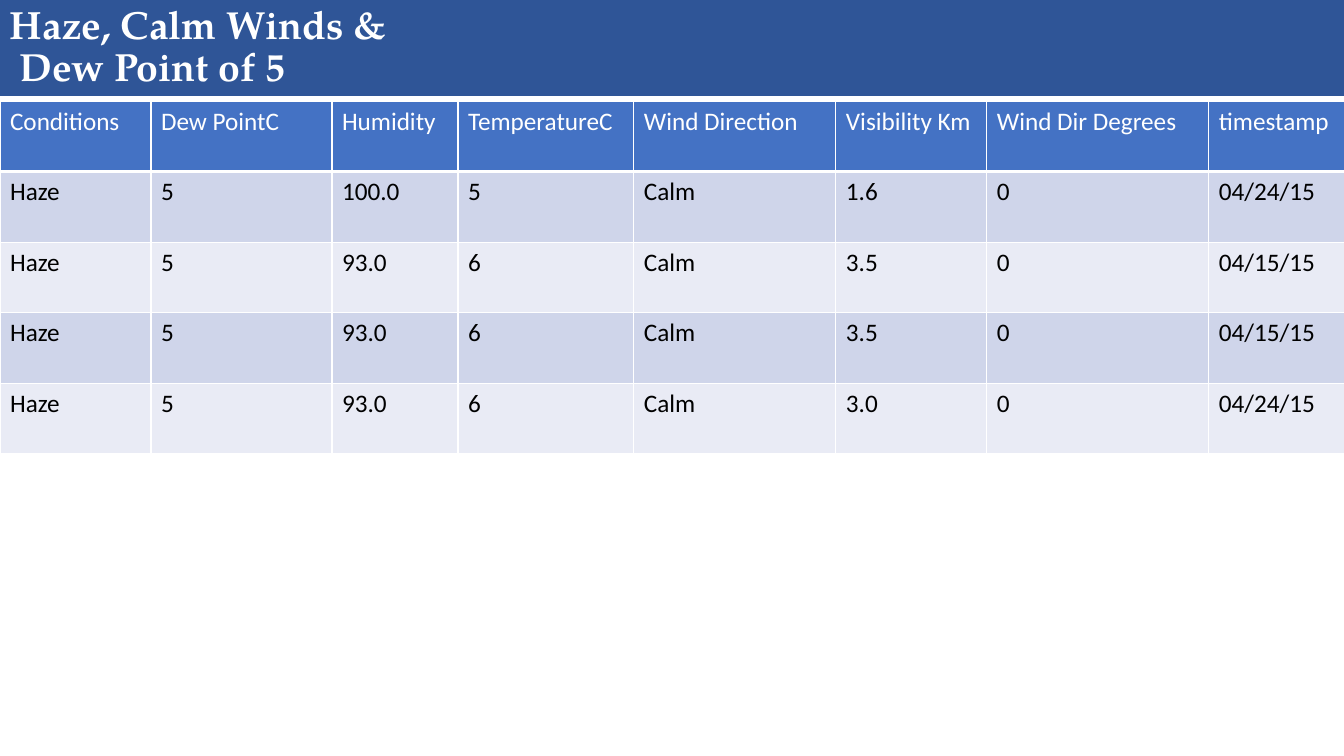
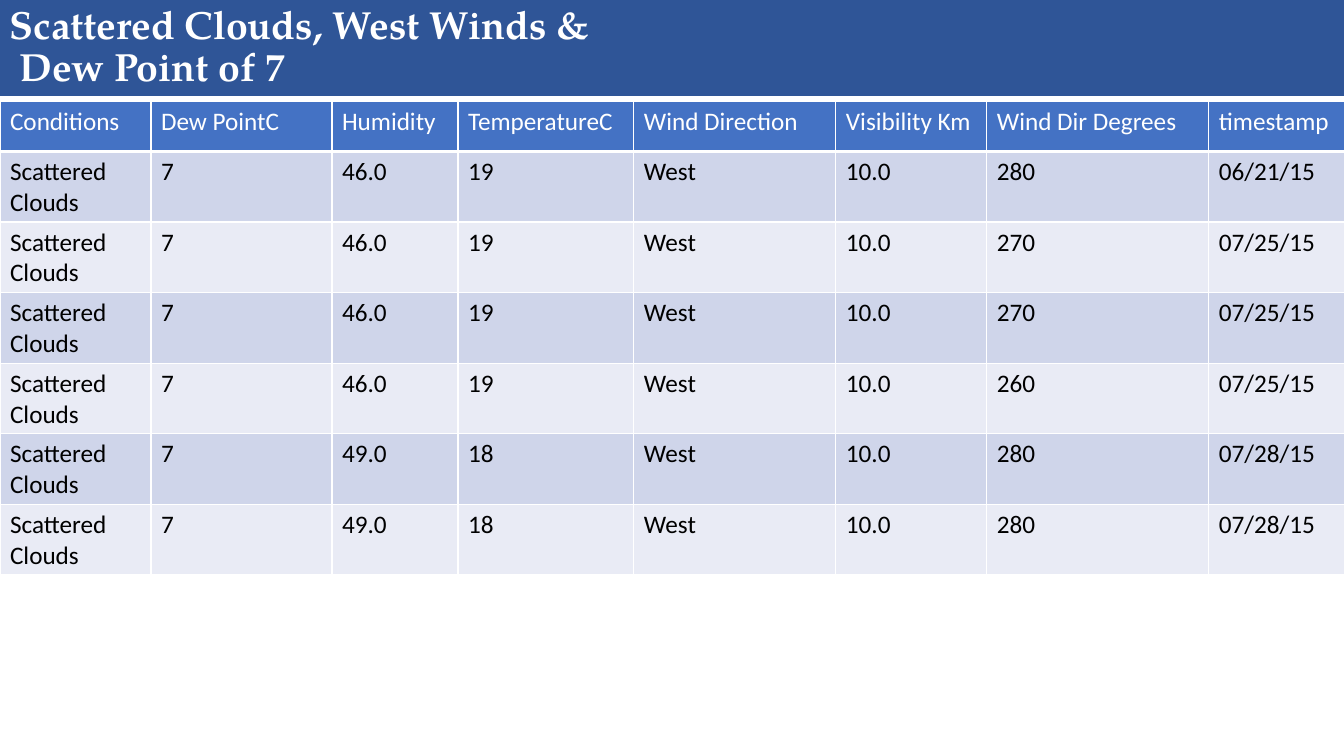
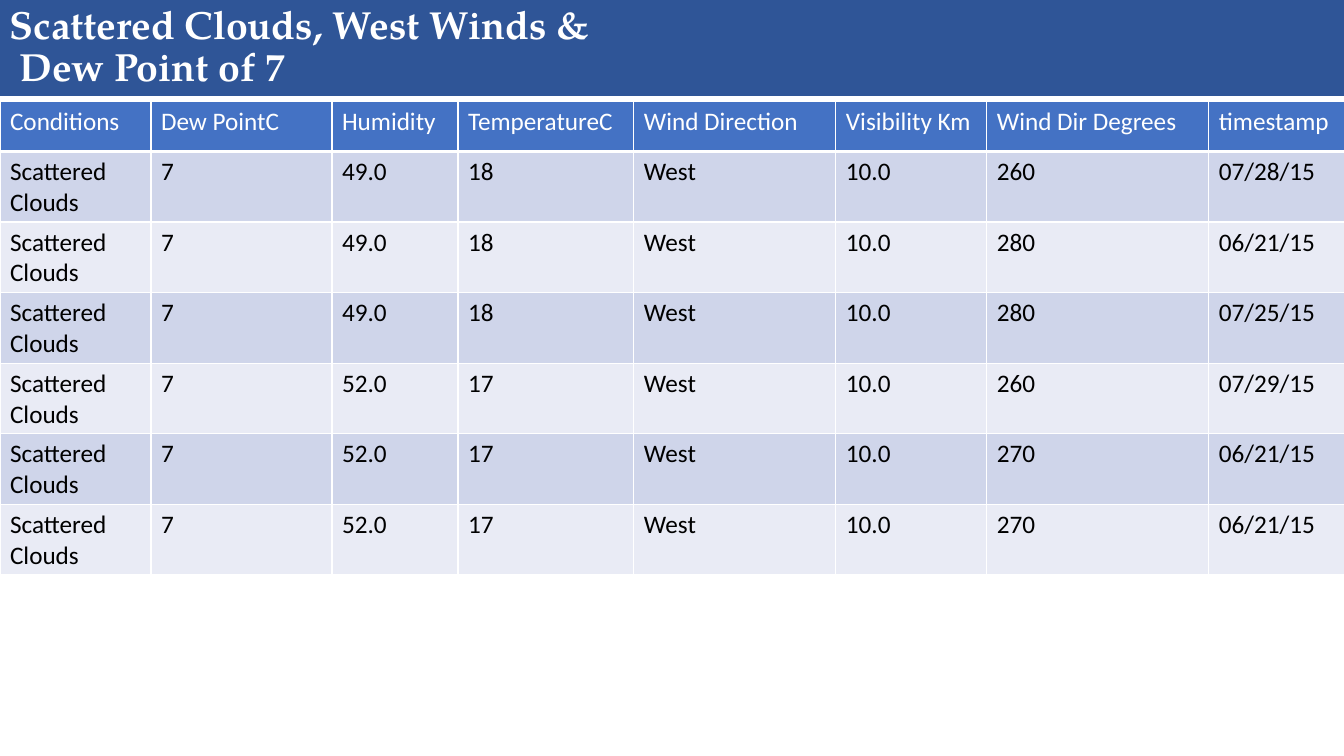
from dataclasses import dataclass

from lxml.etree import SubElement
from pptx import Presentation
from pptx.dml.color import RGBColor
from pptx.enum.shapes import MSO_SHAPE
from pptx.enum.text import MSO_ANCHOR
from pptx.oxml.ns import qn
from pptx.util import Emu, Pt


@dataclass(frozen=True)
class Theme:
    band: str = "2F5597"
    header: str = "4472C4"
    stripes: tuple = ("CFD5EA", "E9EBF5")
    light: str = "FFFFFF"
    dark: str = "000000"
    title_font: str = "TeX Gyre Pagella"
    body_font: str = "Calibri"
    title_size: int = 28
    body_size: int = 18
    border: int = 1
    header_border: int = 3


theme = Theme()
SCALE = 914400 / 100.8
WIDTH, HEIGHT = 1344, 756
BAND_HEIGHT = 96
TITLE_TOP, TITLE_HEIGHT = -2, 99
TABLE_TOP, TABLE_HEIGHT = 101, 353

columns = {
    "Conditions": 151,
    "Dew PointC": 181,
    "Humidity": 126,
    "TemperatureC": 176,
    "Wind Direction": 202,
    "Visibility Km": 151,
    "Wind Dir Degrees": 222,
    "timestamp": 136,
}

haze = ("Haze, Calm Winds & ", " Dew Point of 5")
clouds = ("Scattered Clouds, West Winds & ", " Dew Point of 7")

pages = [
    (haze, ("Haze", "5", "Calm"), [
        ("100.0", "5", "1.6", "0", "04/24/15"),
        ("93.0", "6", "3.5", "0", "04/15/15"),
        ("93.0", "6", "3.5", "0", "04/15/15"),
        ("93.0", "6", "3.0", "0", "04/24/15"),
    ]),
    (clouds, ("Scattered Clouds", "7", "West"), [
        ("46.0", "19", "10.0", "280", "06/21/15"),
        ("46.0", "19", "10.0", "270", "07/25/15"),
        ("46.0", "19", "10.0", "270", "07/25/15"),
        ("46.0", "19", "10.0", "260", "07/25/15"),
        ("49.0", "18", "10.0", "280", "07/28/15"),
        ("49.0", "18", "10.0", "280", "07/28/15"),
    ]),
    (clouds, ("Scattered Clouds", "7", "West"), [
        ("49.0", "18", "10.0", "260", "07/28/15"),
        ("49.0", "18", "10.0", "280", "06/21/15"),
        ("49.0", "18", "10.0", "280", "07/25/15"),
        ("52.0", "17", "10.0", "260", "07/29/15"),
        ("52.0", "17", "10.0", "270", "06/21/15"),
        ("52.0", "17", "10.0", "270", "06/21/15"),
    ]),
]


def px(*lengths):
    return [Emu(round(length * SCALE)) for length in lengths]


def write_text(frame, text, *, font, size, color, bold=False, spacing=1.0):
    frame.text = text
    for paragraph in frame.paragraphs:
        paragraph.line_spacing = spacing
        for run in paragraph.runs:
            run.font.name = font
            run.font.size = Pt(size)
            run.font.bold = bold
            run.font.color.rgb = RGBColor.from_string(color)


presentation = Presentation()
presentation.slide_width, presentation.slide_height = px(WIDTH, HEIGHT)

for title, (condition, dew_point, wind), readings in pages:
    slide = presentation.slides.add_slide(presentation.slide_layouts[6])

    band = slide.shapes.add_shape(MSO_SHAPE.RECTANGLE, *px(0, 0, WIDTH, BAND_HEIGHT))
    band.shadow.inherit = False
    band.fill.solid()
    band.fill.fore_color.rgb = RGBColor.from_string(theme.band)
    band.line.fill.background()

    title_box = slide.shapes.add_textbox(*px(0, TITLE_TOP, WIDTH, TITLE_HEIGHT))
    title_box.text_frame.word_wrap = True
    title_box.text_frame.vertical_anchor = MSO_ANCHOR.MIDDLE
    write_text(title_box.text_frame, "\n".join(title), font=theme.title_font,
               size=theme.title_size, color=theme.light, bold=True, spacing=0.9)

    rows = [tuple(columns)] + [
        (condition, dew_point, humidity, temperature, wind, visibility, degrees, date)
        for humidity, temperature, visibility, degrees, date in readings
    ]
    table = slide.shapes.add_table(
        len(rows), len(columns), *px(0, TABLE_TOP, sum(columns.values()), TABLE_HEIGHT)
    ).table
    for column, width in zip(table.columns, px(*columns.values())):
        column.width = width

    for row_index, row in enumerate(rows):
        is_header = row_index == 0
        fill = theme.header if is_header else theme.stripes[(row_index - 1) % 2]
        edges = {"a:lnL": theme.border, "a:lnR": theme.border,
                 "a:lnT": theme.header_border if row_index == 1 else theme.border,
                 "a:lnB": theme.header_border if is_header else theme.border}
        for column_index, value in enumerate(row):
            cell = table.cell(row_index, column_index)
            write_text(cell.text_frame, value, font=theme.body_font, size=theme.body_size,
                       color=theme.light if is_header else theme.dark)
            properties = cell._tc.get_or_add_tcPr()
            for edge, weight in edges.items():
                line = SubElement(properties, qn(edge), w=str(Pt(weight)))
                line_fill = SubElement(line, qn("a:solidFill"))
                SubElement(line_fill, qn("a:srgbClr"), val=theme.light)
            cell.fill.solid()
            cell.fill.fore_color.rgb = RGBColor.from_string(fill)

presentation.save("out.pptx")
